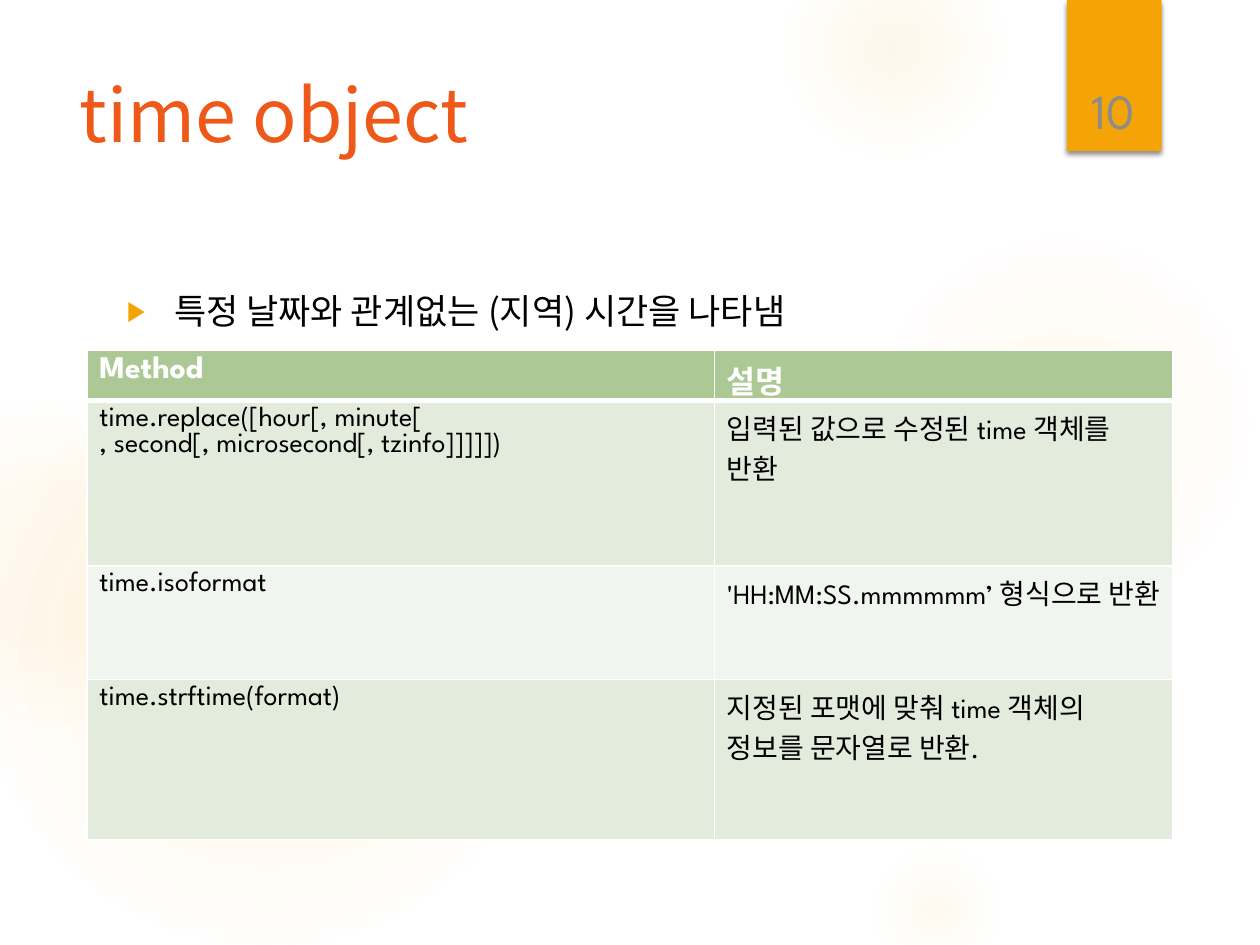
from dataclasses import dataclass

import pptx
import pptx.dml.color
import pptx.enum.shapes
import pptx.enum.text
import pptx.oxml
import pptx.oxml.ns
import pptx.util

Cm = pptx.util.Cm
Pt = pptx.util.Pt
NS = pptx.oxml.ns.nsdecls("a")
SANS = "Noto Sans CJK KR"
ROUND = "League Spartan"
HUES = {
    "glow": "FAC96A", "tab": "F5A408", "title": "EE5818", "text": "000000",
    "page": "8C8C8C", "white": "FFFFFF", "head": "ACC995",
    "odd": "E3EBDD", "even": "F1F5EF", "shade": "000000",
}


@dataclass
class Glow:
    left: float
    top: float
    size: float
    stops: list[tuple[int, int]]  # position and opacity, in percent


@dataclass
class Style:
    face: str
    size: int
    hue: str
    bold: bool = False


@dataclass
class Row:
    high: float
    code: list[str]
    note: str
    fill: str
    style: Style


HEAD = Style(ROUND, 18, "white", True)
BODY = Style(ROUND, 16, "text")

GLOWS = [
    Glow(17.5, 4.65, 7.82, [(0, 7), (36, 6), (69, 0)]),
    Glow(15.8, -1.27, 4.45, [(0, 14), (36, 7), (73, 0)]),
    Glow(17.5, 16.94, 2.74, [(0, 10), (31, 5), (66, 0)]),
    Glow(-0.43, 7.42, 11.63, [(0, 11), (36, 10), (75, 0)]),
    Glow(-2.34, 8.05, 6.55, [(0, 8), (36, 8), (72, 0)]),
]
ROWS = [
    Row(0.94, ["Method"], "설명", "head", HEAD),
    Row(3.33, ["time.replace([hour[, minute[",
               ", second[, microsecond[, tzinfo]]]]])"],
        "입력된 값으로 수정된 time 객체를 반환", "odd", BODY),
    Row(2.29, ["time.isoformat"], "'HH:MM:SS.mmmmmm’ 형식으로 반환", "even", BODY),
    Row(3.23, ["time.strftime(format)"],
        "지정된 포맷에 맞춰 time 객체의 정보를 문자열로 반환.", "odd", BODY),
]
COLS = [12.65, 9.25]


def tint(name: str) -> pptx.dml.color.RGBColor:
    return pptx.dml.color.RGBColor.from_string(HUES[name])


def node(xml: str):
    """Parse one element whose start tag holds the mark NS."""
    return pptx.oxml.parse_xml(xml.replace("NS", NS, 1))


def write(frame, lines: list[str], style: Style) -> None:
    """Put each line in its own paragraph."""
    for i, line in enumerate(lines):
        para = frame.paragraphs[0] if i == 0 else frame.add_paragraph()
        run = para.add_run()
        run.text = line
        font = run.font
        font.name, font.size, font.bold = style.face, Pt(style.size), style.bold
        font.color.rgb = tint(style.hue)
        run._r.get_or_add_rPr().append(node(f'<a:ea NS typeface="{SANS}"/>'))


def label(slide, area: tuple[float, ...], text: str, style: Style):
    box = slide.shapes.add_textbox(*map(Cm, area))
    box.text_frame.word_wrap = True
    write(box.text_frame, [text], style)
    return box.text_frame


def shape(slide, kind: str, area: tuple[float, ...]):
    form = getattr(pptx.enum.shapes.MSO_SHAPE, kind)
    item = slide.shapes.add_shape(form, *map(Cm, area))
    item.shadow.inherit = False
    item.line.fill.background()
    return item


def draw_glow(slide, glow: Glow) -> None:
    item = shape(slide, "OVAL", (glow.left, glow.top, glow.size, glow.size))
    stops = "".join(
        f'<a:gs pos="{pos * 1000}"><a:srgbClr val="{HUES["glow"]}">'
        f'<a:alpha val="{alpha * 1000}"/></a:srgbClr></a:gs>'
        for pos, alpha in glow.stops)
    item._element.spPr.find(pptx.oxml.ns.qn("a:prstGeom")).addnext(node(
        f'<a:gradFill NS><a:gsLst>{stops}</a:gsLst><a:path path="circle">'
        '<a:fillToRect l="50000" t="50000" r="50000" b="50000"/>'
        '</a:path></a:gradFill>'))


def draw_tab(slide) -> None:
    item = shape(slide, "RECTANGLE", (21.51, 0, 1.91, 3.05))
    item.fill.solid()
    item.fill.fore_color.rgb = tint("tab")
    # Soft shade under the tab
    item._element.spPr.find(pptx.oxml.ns.qn("a:effectLst")).append(node(
        f'<a:outerShdw NS blurRad="{Pt(3)}" dist="{Pt(2)}" dir="5400000">'
        f'<a:srgbClr val="{HUES["shade"]}"><a:alpha val="45000"/></a:srgbClr>'
        '</a:outerShdw>'))


def add_mark(para) -> None:
    """Hang a coloured arrow bullet before the paragraph."""
    props = para._p.get_or_add_pPr()
    props.set("marL", str(Cm(0.95)))
    props.set("indent", str(-Cm(0.95)))
    for xml in (f'<a:buClr NS><a:srgbClr val="{HUES["tab"]}"/></a:buClr>',
                '<a:buSzPct NS val="80000"/>',
                '<a:buFont NS typeface="Arial"/>',
                '<a:buChar NS char="▶"/>'):
        props.append(node(xml))


def fill_cell(cell, lines: list[str], row: Row, first: bool) -> None:
    write(cell.text_frame, lines, row.style)
    props = cell._tc.get_or_add_tcPr()
    for side in "LRTB":
        thick = first and side == "B"
        props.append(node(
            f'<a:ln{side} NS w="{Pt(3 if thick else 1)}"><a:solidFill>'
            f'<a:srgbClr val="{HUES["white"]}"/></a:solidFill></a:ln{side}>'))
    cell.fill.solid()
    cell.fill.fore_color.rgb = tint(row.fill)


def draw_table(slide) -> None:
    high = sum(row.high for row in ROWS)
    area = (1.75, 7.06, sum(COLS), high)
    grid = slide.shapes.add_table(len(ROWS), len(COLS), *map(Cm, area)).table
    for col, wide in zip(grid.columns, COLS):
        col.width = Cm(wide)
    for i, row in enumerate(ROWS):
        grid.rows[i].height = Cm(row.high)
        for j, lines in enumerate((row.code, [row.note])):
            fill_cell(grid.cell(i, j), lines, row, i == 0)


def main() -> None:
    deck = pptx.Presentation()
    deck.slide_width, deck.slide_height = Cm(25.4), Cm(19.05)
    slide = deck.slides.add_slide(deck.slide_layouts[6])

    # Backdrop
    for glow in GLOWS:
        draw_glow(slide, glow)
    draw_tab(slide)

    # Title and lead line
    label(slide, (1.35, 1.27, 19.61, 3.89), "time object",
          Style(SANS, 42, "title"))
    lead = label(slide, (2.31, 5.72, 18.64, 11.66),
                 "특정 날짜와 관계없는 (지역) 시간을 나타냄", Style(SANS, 20, "text"))
    add_mark(lead.paragraphs[0])

    # Methods
    draw_table(slide)

    # Page number
    page = label(slide, (21.56, 0.81, 1.75, 2.13), "10",
                 Style(ROUND, 28, "page"))
    page.vertical_anchor = pptx.enum.text.MSO_ANCHOR.BOTTOM
    page.paragraphs[0].alignment = pptx.enum.text.PP_ALIGN.CENTER

    deck.save("out.pptx")


if __name__ == "__main__":
    main()
